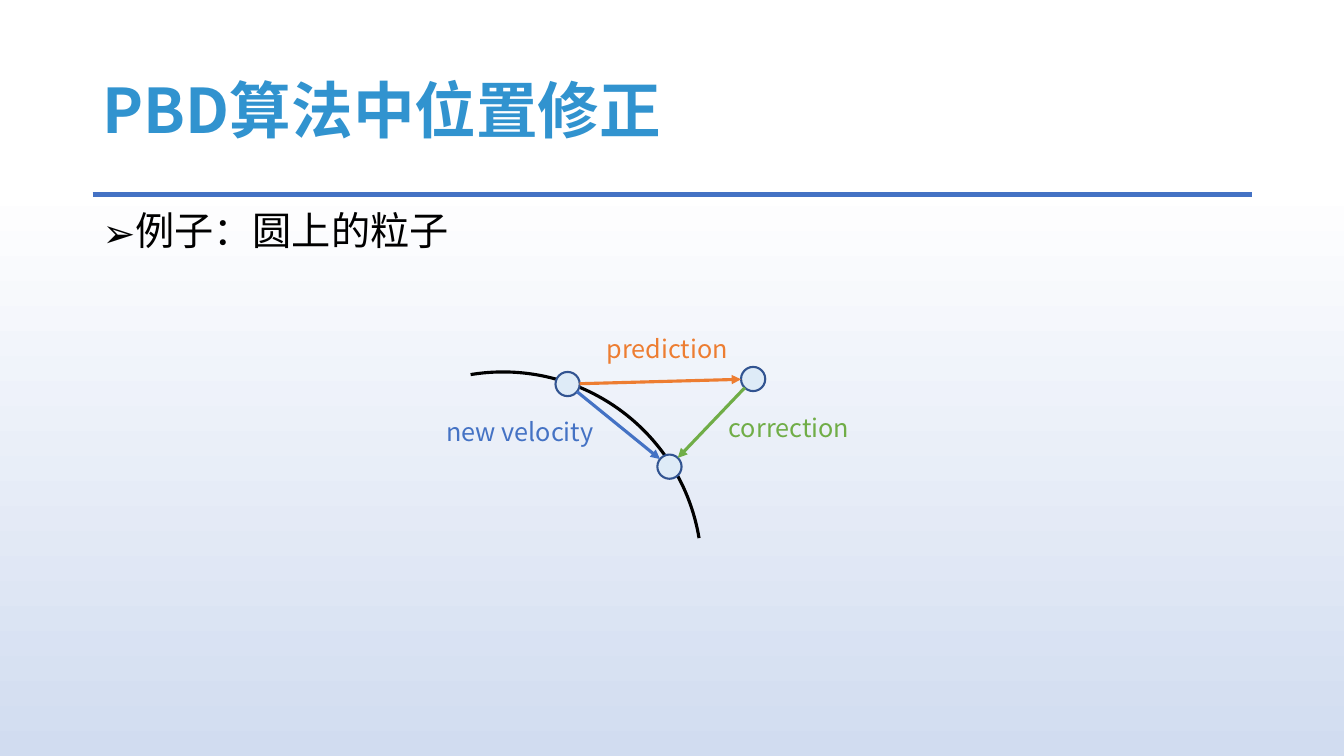
import math

import lxml.etree
import pptx
import pptx.dml.color
import pptx.enum.shapes
import pptx.enum.text
import pptx.oxml.ns
import pptx.util

Inches = pptx.util.Inches
Pt = pptx.util.Pt
qn = pptx.oxml.ns.qn
SHAPES = pptx.enum.shapes.MSO_SHAPE
STRAIGHT = pptx.enum.shapes.MSO_CONNECTOR.STRAIGHT
ANCHOR = pptx.enum.text.MSO_ANCHOR
AUTO_SIZE = pptx.enum.text.MSO_AUTO_SIZE

FONT = "Noto Sans CJK SC"
COLORS = {
    "sky": "FFFFFF",
    "ground": "D1DCF0",
    "title": "3193CF",
    "black": "000000",
    "blue": "4472C4",
    "orange": "ED7D31",
    "green": "70AD47",
    "particle": "DEEBF7",
    "outline": "325491",
}


def color(name):
    return pptx.dml.color.RGBColor.from_string(COLORS[name])


def paint_background(page):
    fill = page.background.fill
    fill.gradient()
    fill.gradient_angle = 270
    for stop, position, name in zip(fill.gradient_stops, (0.24, 1), ("sky", "ground")):
        stop.position = position
        stop.color.rgb = color(name)


def add_text(page, box, text, size, ink, bold=False, bullet=None, **frame_format):
    """Add a one-paragraph text box; bullet is an optional list mark."""
    frame = page.shapes.add_textbox(*map(Inches, box)).text_frame
    for name, value in {"word_wrap": True, **frame_format}.items():
        setattr(frame, name, value)
    para = frame.paragraphs[0]
    if bullet:
        props = para._p.get_or_add_pPr()
        props.set("marL", str(Inches(0.25)))
        props.set("indent", str(-Inches(0.25)))
        lxml.etree.SubElement(props, qn("a:buFont")).set("typeface", FONT)
        lxml.etree.SubElement(props, qn("a:buChar")).set("char", bullet)
    span = para.add_run()
    span.text = text
    for name, value in {"name": FONT, "size": Pt(size), "bold": bold}.items():
        setattr(span.font, name, value)
    span.font.color.rgb = color(ink)
    lxml.etree.SubElement(span._r.get_or_add_rPr(), qn("a:ea")).set("typeface", FONT)
    return para


def add_line(page, start, end, ink, width, arrow=False):
    line = page.shapes.add_connector(STRAIGHT, *map(Inches, (*start, *end)))
    line.line.color.rgb = color(ink)
    line.line.width = Pt(width)
    if arrow:
        tail = lxml.etree.SubElement(line.line._get_or_add_ln(), qn("a:tailEnd"))
        tail.set("type", "triangle")
    lxml.etree.SubElement(line._element.spPr, qn("a:effectLst"))


def add_header(page, left, top, width, height):
    title = add_text(page, (left, top, width, height), "PBD算法中位置修正", 44, "title",
                     bold=True, vertical_anchor=ANCHOR.MIDDLE)
    title.line_spacing = 0.9
    rule_y = top + height + 0.08
    add_line(page, (left, rule_y), (left + width, rule_y), "blue", 3.5)


def add_particle_diagram(page, left, top):
    """Draw a particle leaving a circle and being corrected back onto it."""
    radius = 0.12
    particles = {
        "old": (left + 1.3, top + 0.55),
        "predicted": (left + 3.14, top + 0.5),
        "new": (left + 2.31, top + 1.37),
    }
    steps = [
        ("old", "predicted", "orange", "prediction", (1.59, 0, 1.43)),
        ("predicted", "new", "green", "correction", (2.8, 0.78, 1.43)),
        ("old", "new", "blue", "new velocity", (0, 0.82, 1.7)),
    ]

    arc = page.shapes.add_shape(SHAPES.ARC, Inches(left - 1.31), Inches(top + 0.43),
                                Inches(3.94), Inches(3.94))
    arc.rotation = 350.6
    arc.shadow.inherit = False
    arc.fill.background()
    arc.line.color.rgb = color("black")
    arc.line.width = Pt(2.25)

    for x, y in particles.values():
        particle = page.shapes.add_shape(SHAPES.OVAL, Inches(x - radius), Inches(y - radius),
                                         Inches(2 * radius), Inches(2 * radius))
        particle.shadow.inherit = False
        particle.fill.solid()
        particle.fill.fore_color.rgb = color("particle")
        particle.line.color.rgb = color("outline")
        particle.line.width = Pt(1.5)

    for source, target, ink, label, (dx, dy, width) in steps:
        (x1, y1), (x2, y2) = particles[source], particles[target]
        share = radius / math.dist((x1, y1), (x2, y2))
        gap_x, gap_y = share * (x2 - x1), share * (y2 - y1)
        add_line(page, (x1 + gap_x, y1 + gap_y), (x2 - gap_x, y2 - gap_y), ink, 2.25, arrow=True)
        add_text(page, (left + dx, top + dy, width, 0.4), label, 18, ink,
                 word_wrap=False, auto_size=AUTO_SIZE.SHAPE_TO_FIT_TEXT)


def main():
    deck = pptx.Presentation()
    deck.slide_width, deck.slide_height = Inches(13.33), Inches(7.5)
    page = deck.slides.add_slide(deck.slide_layouts[6])
    paint_background(page)
    add_header(page, 0.92, 0.4, 11.5, 1.45)
    add_text(page, (0.92, 2, 11.5, 4.76), "例子：圆上的粒子", 28, "black", bullet="➢")
    add_particle_diagram(page, 4.33, 3.26)
    deck.save("out.pptx")


if __name__ == "__main__":
    main()
